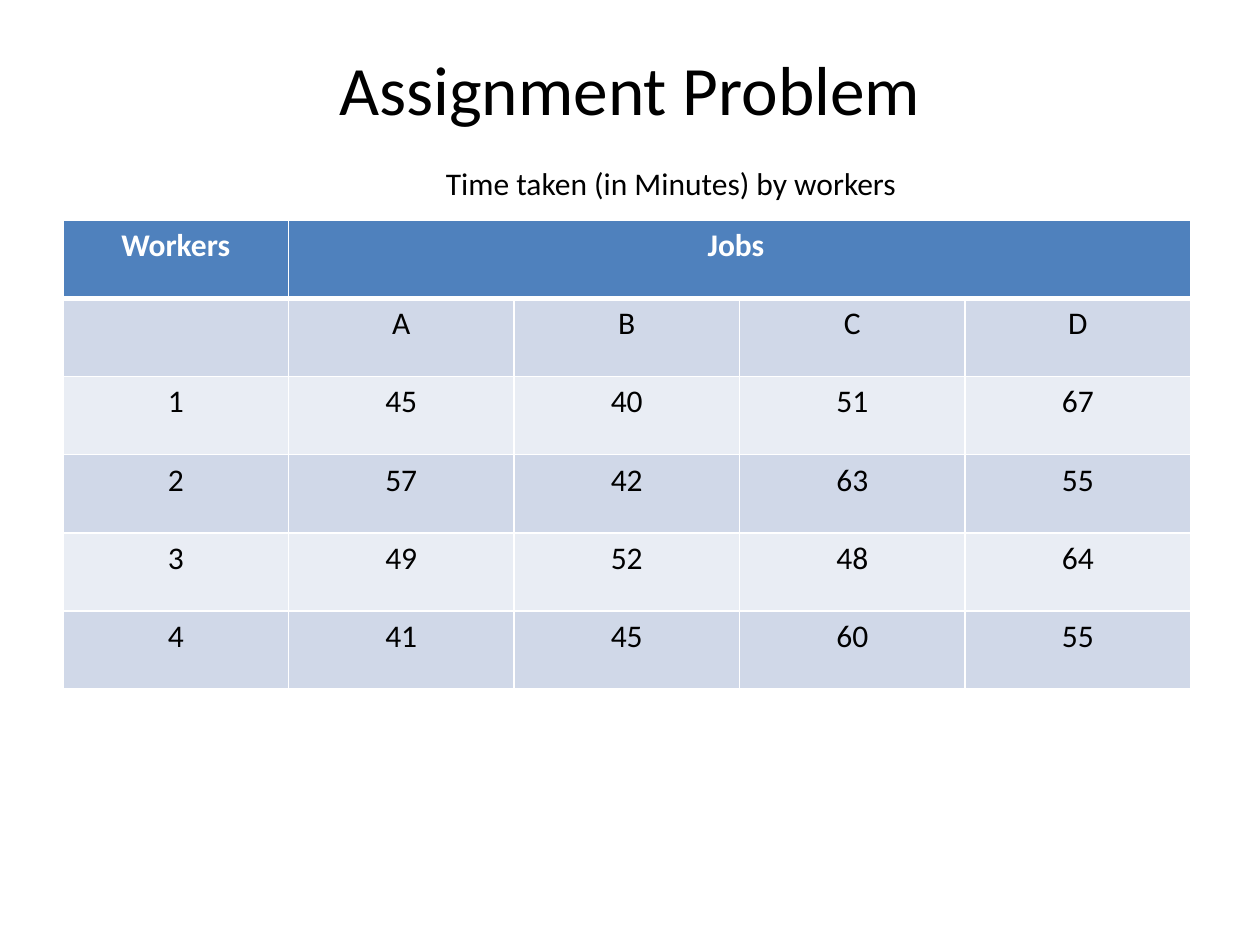
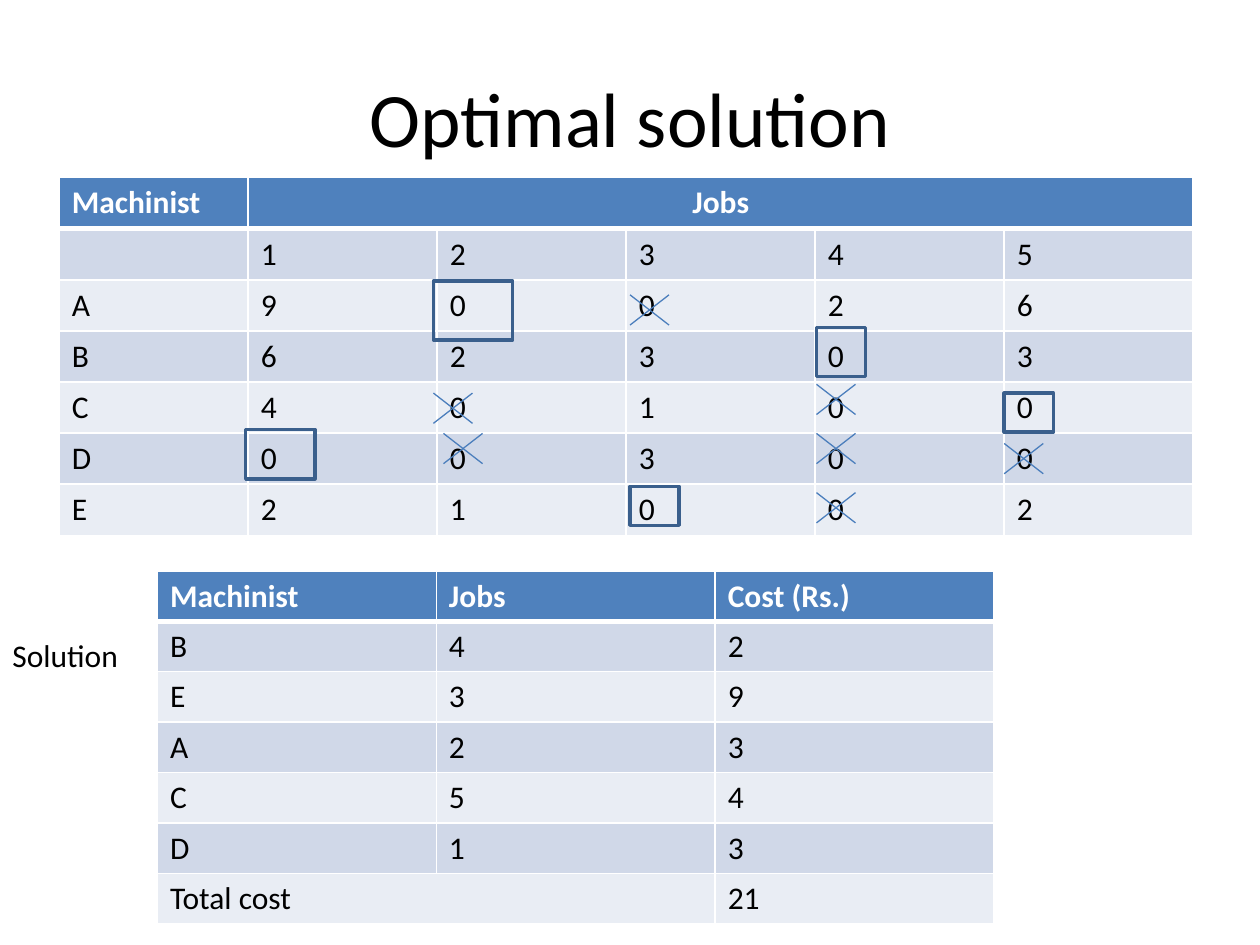
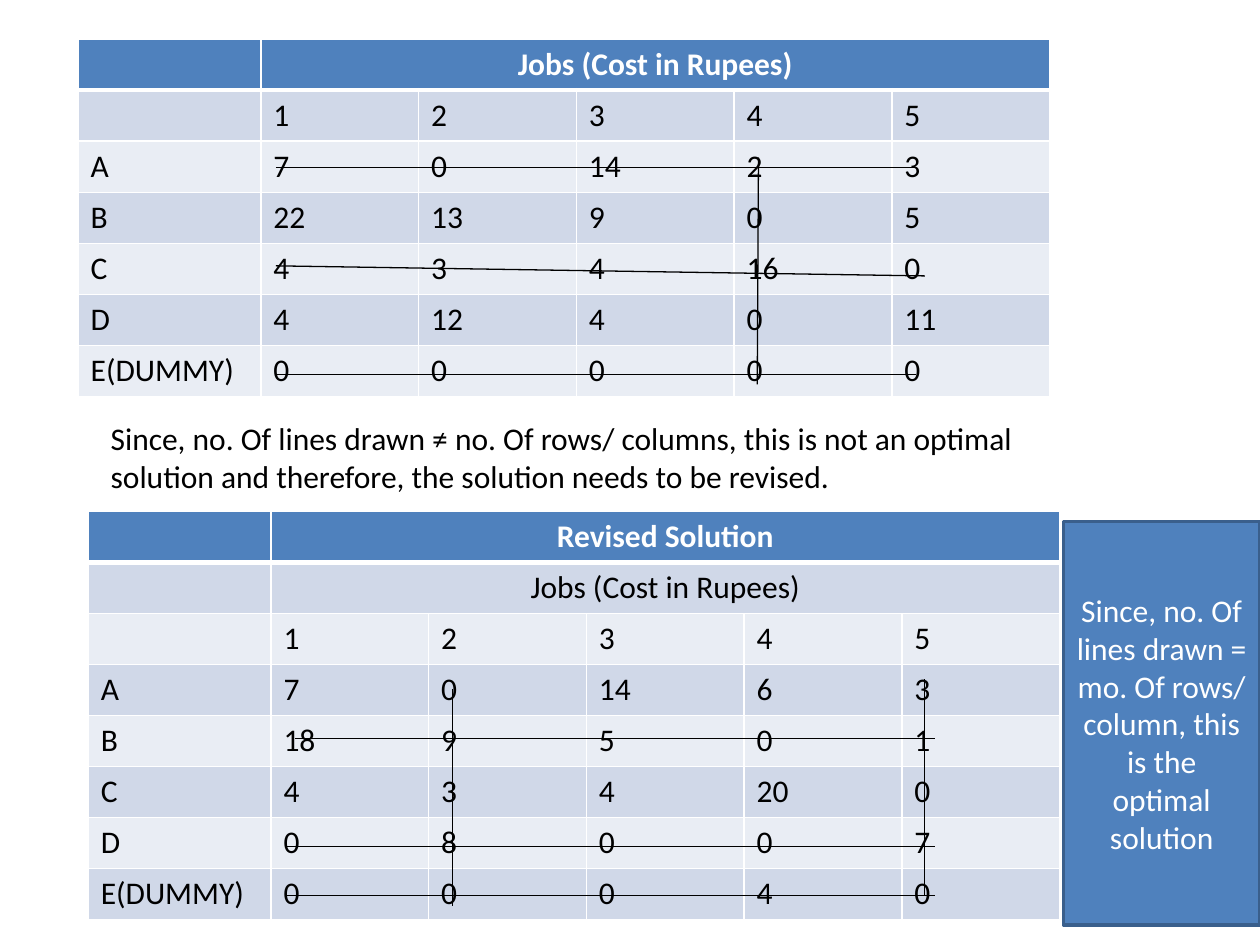
from dataclasses import dataclass

from lxml.etree import SubElement
from pptx import Presentation
from pptx.dml.color import RGBColor
from pptx.enum.shapes import MSO_CONNECTOR as Connector, MSO_SHAPE as Shape
from pptx.enum.text import MSO_ANCHOR as Anchor, MSO_AUTO_SIZE as AutoSize, PP_ALIGN as Align
from pptx.oxml.ns import qn
from pptx.util import Inches, Pt


@dataclass(frozen=True)
class Theme:
    font: str = "Calibri"
    ink: str = "000000"
    paper: str = "FFFFFF"
    accent: str = "4F81BD"
    outline: str = "3A5F8C"
    cross: str = "4B7EBC"
    bands: tuple = ("E9EDF4", "D0D8E8")
    title_size: float = 44
    small_title_size: float = 39.6
    body_size: float = 18
    grid_line: float = 1
    header_line: float = 3
    box_line: float = 2
    thin_line: float = 0.75


def assign(target, **values):
    for name, value in values.items():
        setattr(target, name, value)


def rgb(color):
    return RGBColor.from_string(color)


def inches(*lengths):
    return [Inches(length) for length in lengths]


class Deck:
    def __init__(self, theme):
        self.theme = theme
        self.show = Presentation()
        assign(self.show, slide_width=Inches(10), slide_height=Inches(7.5))
        self.slide = None

    def new_slide(self):
        self.slide = self.show.slides.add_slide(self.show.slide_layouts[6])

    def put_text(self, frame, words, color=None, size=None, bold=False, align=Align.LEFT):
        paragraph = frame.paragraphs[0]
        paragraph.alignment = align
        if words:
            run = paragraph.add_run()
            run.text = words
            assign(run.font, name=self.theme.font, bold=bold,
                   size=Pt(size or self.theme.body_size))
            run.font.color.rgb = rgb(color or self.theme.ink)

    def title(self, words, height, size=None):
        frame = self.slide.shapes.add_textbox(*inches(0.5, 0.3, 9, height)).text_frame
        assign(frame, word_wrap=True, vertical_anchor=Anchor.MIDDLE)
        self.put_text(frame, words, size=size or self.theme.title_size, align=Align.CENTER)

    def note(self, words, *place):
        frame = self.slide.shapes.add_textbox(*inches(*place)).text_frame
        assign(frame, word_wrap=True, auto_size=AutoSize.SHAPE_TO_FIT_TEXT)
        self.put_text(frame, words)

    def box(self, *place, fill=None, words=""):
        box = self.slide.shapes.add_shape(Shape.RECTANGLE, *inches(*place))
        box.shadow.inherit = False
        if fill:
            box.fill.solid()
            box.fill.fore_color.rgb = rgb(fill)
        else:
            box.fill.background()
        box.line.width = Pt(self.theme.box_line)
        box.line.color.rgb = rgb(self.theme.outline)
        assign(box.text_frame, word_wrap=True, vertical_anchor=Anchor.MIDDLE)
        self.put_text(box.text_frame, words, self.theme.paper, align=Align.CENTER)

    def line(self, *ends, color=None, shapes=None):
        shapes = shapes or self.slide.shapes
        line = shapes.add_connector(Connector.STRAIGHT, *inches(*ends))
        line.line.width = Pt(self.theme.thin_line)
        line.line.color.rgb = rgb(color or self.theme.ink)
        SubElement(line._element.spPr, qn("a:effectLst"))

    def cross(self, left, top, width=0.31, height=0.24):
        """Two crossing strokes, grouped."""
        strokes = self.slide.shapes.add_group_shape().shapes
        right, bottom = left + width, top + height
        for ends in ((left, top, right, bottom), (right, top, left, bottom)):
            self.line(*ends, color=self.theme.cross, shapes=strokes)

    def borders(self, cell, row):
        properties = cell._tc.get_or_add_tcPr()
        heavy_sides = {0: "lnB", 1: "lnT"}
        for side in ("lnL", "lnR", "lnT", "lnB"):
            heavy = heavy_sides.get(row) == side
            points = self.theme.header_line if heavy else self.theme.grid_line
            edge = SubElement(properties, qn(f"a:{side}"), w=str(Pt(points)))
            fill = SubElement(edge, qn("a:solidFill"))
            SubElement(fill, qn("a:srgbClr"), val=self.theme.paper)

    def table(self, rows, *place, first_width=None, align=Align.LEFT):
        """None joins a cell to the one on its left."""
        count = len(rows[0])
        table = self.slide.shapes.add_table(len(rows), count, *inches(*place)).table
        if first_width:
            rest = (place[2] - first_width) / (count - 1)
            for column, width in zip(table.columns, [first_width] + [rest] * (count - 1)):
                column.width = Inches(width)
        for r, row in enumerate(rows):
            for c, words in enumerate(row):
                cell = table.cell(r, c)
                self.borders(cell, r)
                cell.fill.solid()
                cell.fill.fore_color.rgb = rgb(self.theme.bands[r % 2] if r else self.theme.accent)
                if words is None:
                    continue
                span = 1
                while c + span < count and row[c + span] is None:
                    span += 1
                if span > 1:
                    cell.merge(table.cell(r, c + span - 1))
                centred = span > 1 and c > 0
                self.put_text(cell.text_frame, words, bold=r == 0,
                              color=self.theme.ink if r else self.theme.paper,
                              align=Align.CENTER if centred else align)


def heading(first, label, span):
    return [first, label] + [None] * (span - 1)


def grid(*lines):
    return [line.split() for line in lines]


def assignment_problem(deck):
    deck.new_slide()
    deck.title("Assignment Problem", 0.79, size=deck.theme.small_title_size)
    times = [heading("Workers", "Jobs ", 4), ["", *"ABCD"],
             *grid("1 45 40 51 67", "2 57 42 63 55", "3 49 52 48 64", "4 41 45 60 55")]
    deck.table(times, 0.5, 1.75, 8.95, 3.72, align=Align.CENTER)
    deck.note("Time taken (in Minutes) by workers", 3.44, 1.25, 3.98, 0.4)


def optimal_solution(deck):
    deck.new_slide()
    deck.title("Optimal solution", 1.25)
    reduced = [heading("Machinist", "Jobs", 5), ["", *"12345"],
               *grid("A 9 0 0 2 6", "B 6 2 3 0 3", "C 4 0 1 0 0",
                     "D 0 0 3 0 0", "E 2 1 0 0 2")]
    deck.table(reduced, 0.47, 1.41, 9, 2.84)
    deck.note("Solution", 0, 5, 1.09, 0.4)

    # Boxes mark the assigned zeros, crosses the ruled-out ones
    for assigned in ((6.48, 2.6, 0.39, 0.39), (5, 3.86, 0.39, 0.31), (3.44, 2.23, 0.63, 0.47),
                     (7.97, 3.12, 0.39, 0.31), (1.95, 3.41, 0.55, 0.39)):
        deck.box(*assigned)
    for ruled_out in ((6.48, 3.44), (6.48, 3.91), (6.48, 3.05), (5, 2.34),
                      (3.44, 3.12), (3.52, 3.44), (7.97, 3.52)):
        deck.cross(*ruled_out)

    costs = [["Machinist", "Jobs", "Cost (Rs.)"],
             *grid("B 4 2", "E 3 9", "A 2 3", "C 5 4", "D 1 3"),
             ["Total cost", None, "21"]]
    deck.table(costs, 1.25, 4.53, 6.64, 2.8)


def revised_solution(deck):
    deck.new_slide()
    jobs = heading("", "Jobs (Cost in Rupees)", 5)
    numbers = ["", *"12345"]

    # First attempt
    first = [jobs, numbers,
             *grid("A 7 0 14 2 3", "B 22 13 9 0 5", "C 4 3 4 16 0",
                   "D 4 12 4 0 11", "E(DUMMY) 0 0 0 0 0")]
    deck.table(first, 0.62, 0.31, 7.71, 2.84, first_width=1.45)
    for ends in ((2.19, 2.97, 7.27, 2.97), (6.02, 1.25, 6.01, 3.05),
                 (2.19, 2.11, 7.34, 2.19), (2.19, 1.33, 7.27, 1.33)):
        deck.line(*ends)
    deck.note("Since, no. Of lines drawn ≠ no. Of rows/ columns, this is not an optimal "
              "solution and therefore, the solution needs to be revised.",
              0.78, 3.28, 8.13, 0.71)

    # Revision
    revised = [heading("", "Revised Solution", 5), jobs, numbers,
               *grid("A 7 0 14 6 3", "B 18 9 5 0 1", "C 4 3 4 20 0",
                     "D 0 8 0 0 7", "E(DUMMY) 0 0 0 4 0")]
    deck.table(revised, 0.7, 4.06, 7.71, 3.24, first_width=1.45)
    for ends in ((2.27, 7.11, 7.42, 7.11), (2.27, 6.72, 7.42, 6.72), (7.34, 5.39, 7.34, 7.11),
                 (2.34, 5.86, 7.42, 5.86), (3.59, 5.47, 3.59, 7.19)):
        deck.line(*ends)
    deck.box(8.44, 4.14, 1.56, 3.2, fill=deck.theme.accent,
             words="Since, no. Of lines drawn = mo. Of rows/ column, "
                   "this is the optimal solution")


def main():
    deck = Deck(Theme())
    assignment_problem(deck)
    optimal_solution(deck)
    revised_solution(deck)
    deck.show.save("out.pptx")


if __name__ == "__main__":
    main()
